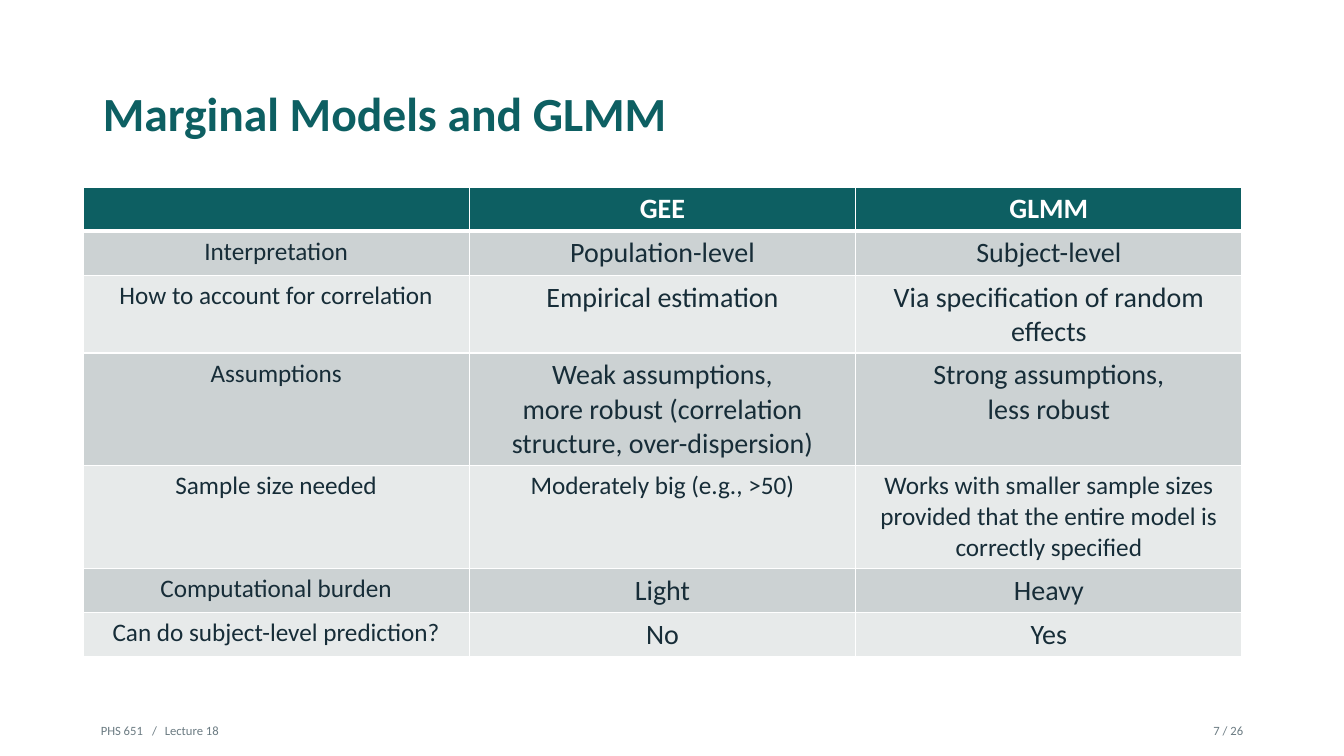
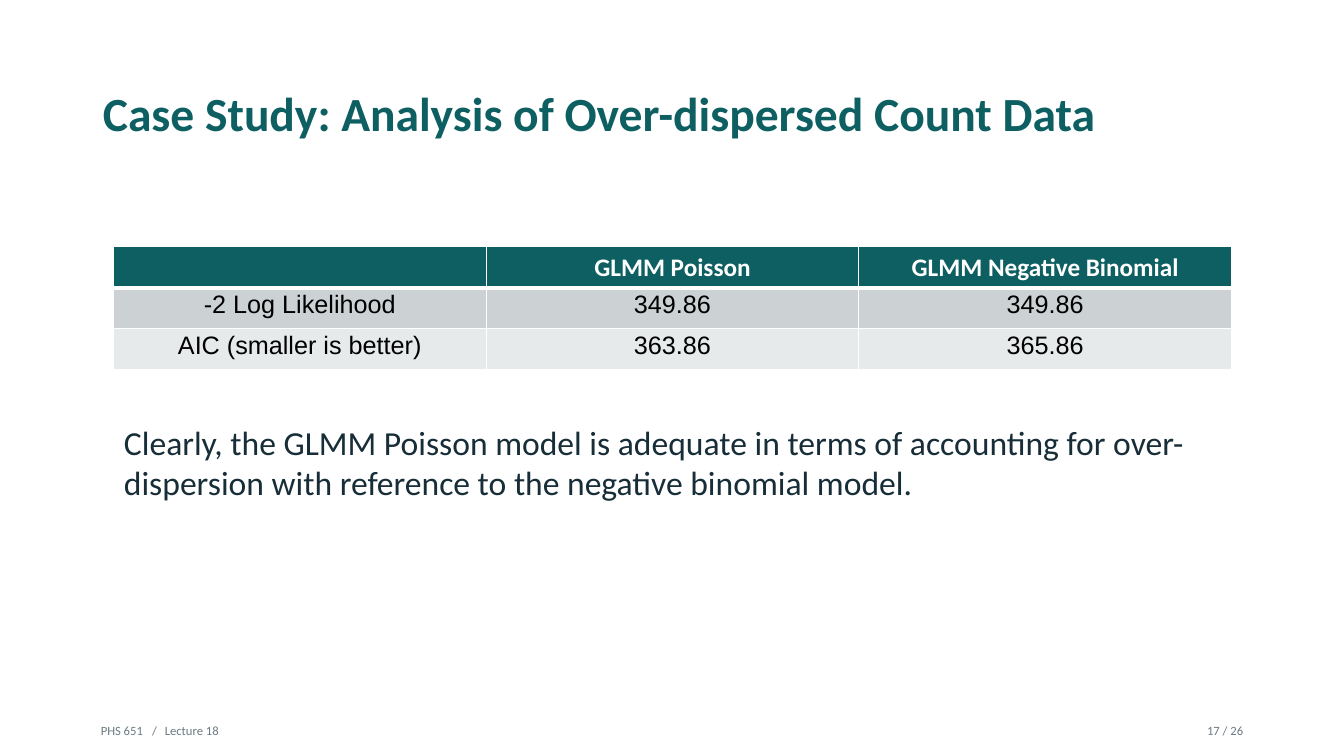
from dataclasses import dataclass

from lxml.etree import SubElement
from pptx import Presentation
from pptx.dml.color import RGBColor
from pptx.enum.text import MSO_ANCHOR as Anchor, PP_ALIGN as Align
from pptx.oxml import parse_xml
from pptx.oxml.ns import nsdecls, qn
from pptx.util import Pt

EMU_PER_PX = 9525


@dataclass(frozen=True)
class Theme:
    teal: str = "0D5F62"
    ink: str = "172D38"
    black: str = "000000"
    white: str = "FFFFFF"
    muted: str = "6B7B82"
    bands: tuple = ("CCD2D3", "E7EAEA")
    font: str = "Calibri"
    data_font: str = "Arial"
    title: int = 34
    body: int = 24
    large: int = 20
    medium: int = 18
    footer: int = 9
    thin_line: int = 1
    thick_line: int = 3


THEME = Theme()


@dataclass(frozen=True)
class TextStyle:
    size: int
    color: str
    font: str = THEME.font
    bold: bool = False
    align: Align = Align.LEFT


@dataclass(frozen=True)
class Cell:
    text: str
    style: TextStyle


TITLE = TextStyle(THEME.title, THEME.teal, bold=True)
BODY = TextStyle(THEME.body, THEME.ink)
FOOTER = TextStyle(THEME.footer, THEME.muted)
PAGE_NUMBER = TextStyle(THEME.footer, THEME.muted, align=Align.RIGHT)
HEADER_LARGE = TextStyle(THEME.large, THEME.white, bold=True, align=Align.CENTER)
HEADER_MEDIUM = TextStyle(THEME.medium, THEME.white, bold=True, align=Align.CENTER)
CELL_LARGE = TextStyle(THEME.large, THEME.ink, align=Align.CENTER)
CELL_MEDIUM = TextStyle(THEME.medium, THEME.ink, align=Align.CENTER)
CELL_DATA = TextStyle(THEME.medium, THEME.black, THEME.data_font, align=Align.CENTER)

COURSE = "PHS 651\t/\tLecture 18"
COURSE_TABS = (49, 61)
PAGE_COUNT = 26


def px(length):
    return length * EMU_PER_PX


# Text
def set_tabs(paragraph, positions):
    properties = paragraph._p.get_or_add_pPr()
    tab_list = SubElement(properties, qn("a:tabLst"))
    for position in positions:
        SubElement(tab_list, qn("a:tab"), pos=str(px(position)), algn="l")


def write_text(frame, text, style, tabs=()):
    for index, line in enumerate(text.split("\n")):
        paragraph = frame.add_paragraph() if index else frame.paragraphs[0]
        if tabs:
            set_tabs(paragraph, tabs)
        paragraph.alignment = style.align
        run = paragraph.add_run()
        run.text = line
        run.font.name = style.font
        run.font.size = Pt(style.size)
        run.font.bold = style.bold
        run.font.color.rgb = RGBColor.from_string(style.color)


def add_text(slide, box, text, style, margins=(0, 0), anchor=Anchor.TOP, tabs=()):
    frame = slide.shapes.add_textbox(*map(px, box)).text_frame
    frame.word_wrap = True
    frame.vertical_anchor = anchor
    frame.margin_left = frame.margin_right = px(margins[0])
    frame.margin_top = frame.margin_bottom = px(margins[1])
    write_text(frame, text, style, tabs)


# Tables
def set_borders(cell, top, bottom):
    """Cell borders stand before the fill in the cell properties."""
    properties = cell._tc.get_or_add_tcPr()
    thin = THEME.thin_line
    sides = (("lnL", thin), ("lnR", thin), ("lnT", top), ("lnB", bottom))
    for index, (side, width) in enumerate(sides):
        properties.insert(index, parse_xml(
            f'<a:{side} {nsdecls("a")} w="{Pt(width)}"><a:solidFill>'
            f'<a:srgbClr val="{THEME.white}"/></a:solidFill></a:{side}>'))


def fill_cell(cell, content, row_index, margins):
    is_header = row_index == 0
    cell.margin_left = cell.margin_right = px(margins[0])
    cell.margin_top = cell.margin_bottom = px(margins[1])
    color = THEME.teal if is_header else THEME.bands[(row_index - 1) % 2]
    cell.fill.solid()
    cell.fill.fore_color.rgb = RGBColor.from_string(color)
    set_borders(cell,
                top=THEME.thick_line if row_index == 1 else THEME.thin_line,
                bottom=THEME.thick_line if is_header else THEME.thin_line)
    if content.text:
        write_text(cell.text_frame, content.text, content.style)


def add_table(slide, left, top, column_width, row_heights, rows, body_margins=(10, 5)):
    columns = len(rows[0])
    table = slide.shapes.add_table(
        len(rows), columns, px(left), px(top),
        px(column_width * columns), px(sum(row_heights))).table
    table.horz_banding = False
    for column in table.columns:
        column.width = px(column_width)
    for row_index, (height, contents) in enumerate(zip(row_heights, rows)):
        table.rows[row_index].height = px(height)
        margins = body_margins if row_index else (10, 5)
        for column_index, content in enumerate(contents):
            fill_cell(table.cell(row_index, column_index), content, row_index, margins)


def table_row(texts, style, label_style=None):
    label, *values = texts
    return [Cell(label, label_style or style)] + [Cell(value, style) for value in values]


# Shared slide frame
def add_slide(presentation, title, number):
    slide = presentation.slides.add_slide(presentation.slide_layouts[6])
    add_text(slide, (88, 38, 1104, 139), title, TITLE, (10, 0), Anchor.MIDDLE)
    add_text(slide, (96, 688, 850, 20), COURSE, FOOTER, tabs=COURSE_TABS)
    add_text(slide, (1110, 688, 74, 20), f"{number} / {PAGE_COUNT}", PAGE_NUMBER)
    return slide


# Slides
def build_model_comparison(presentation):
    slide = add_slide(presentation, "Marginal Models and GLMM", 7)
    comparisons = (
        (("Interpretation", "Population-level", "Subject-level"), CELL_LARGE),
        (("How to account for correlation", "Empirical estimation",
          "Via specification of random effects"), CELL_LARGE),
        (("Assumptions",
          "Weak assumptions,\nmore robust (correlation structure, over-dispersion)",
          "Strong assumptions,\nless robust"), CELL_LARGE),
        (("Sample size needed", "Moderately big (e.g., >50)",
          "Works with smaller sample sizes provided that the entire model "
          "is correctly specified"), CELL_MEDIUM),
        (("Computational burden", "Light", "Heavy"), CELL_LARGE),
        (("Can do subject-level prediction?", "No", "Yes"), CELL_LARGE),
    )
    rows = [table_row(("", "GEE", "GLMM"), HEADER_LARGE)]
    rows += [table_row(texts, style, CELL_MEDIUM) for texts, style in comparisons]
    add_table(slide, 79, 178, 368, (42, 42, 74, 107, 98, 42, 42), rows)


def build_case_study(presentation):
    slide = add_slide(presentation, "Case Study: Analysis of Over-dispersed Count Data", 17)
    rows = [
        table_row(("", "GLMM Poisson", "GLMM Negative Binomial"), HEADER_MEDIUM),
        table_row(("-2 Log Likelihood", "349.86", "349.86"), CELL_DATA),
        table_row(("AIC (smaller is better)", "363.86", "365.86"), CELL_DATA),
    ]
    add_table(slide, 108, 235, 355, (39,) * 3, rows, body_margins=(3, 3))
    add_text(slide, (108, 397, 1107, 87),
             "Clearly, the GLMM Poisson model is adequate in terms of accounting for "
             "over-dispersion with reference to the negative binomial model.",
             BODY, (10, 5))


def main():
    presentation = Presentation()
    presentation.slide_width, presentation.slide_height = px(1280), px(720)
    build_model_comparison(presentation)
    build_case_study(presentation)
    presentation.save("out.pptx")


if __name__ == "__main__":
    main()
